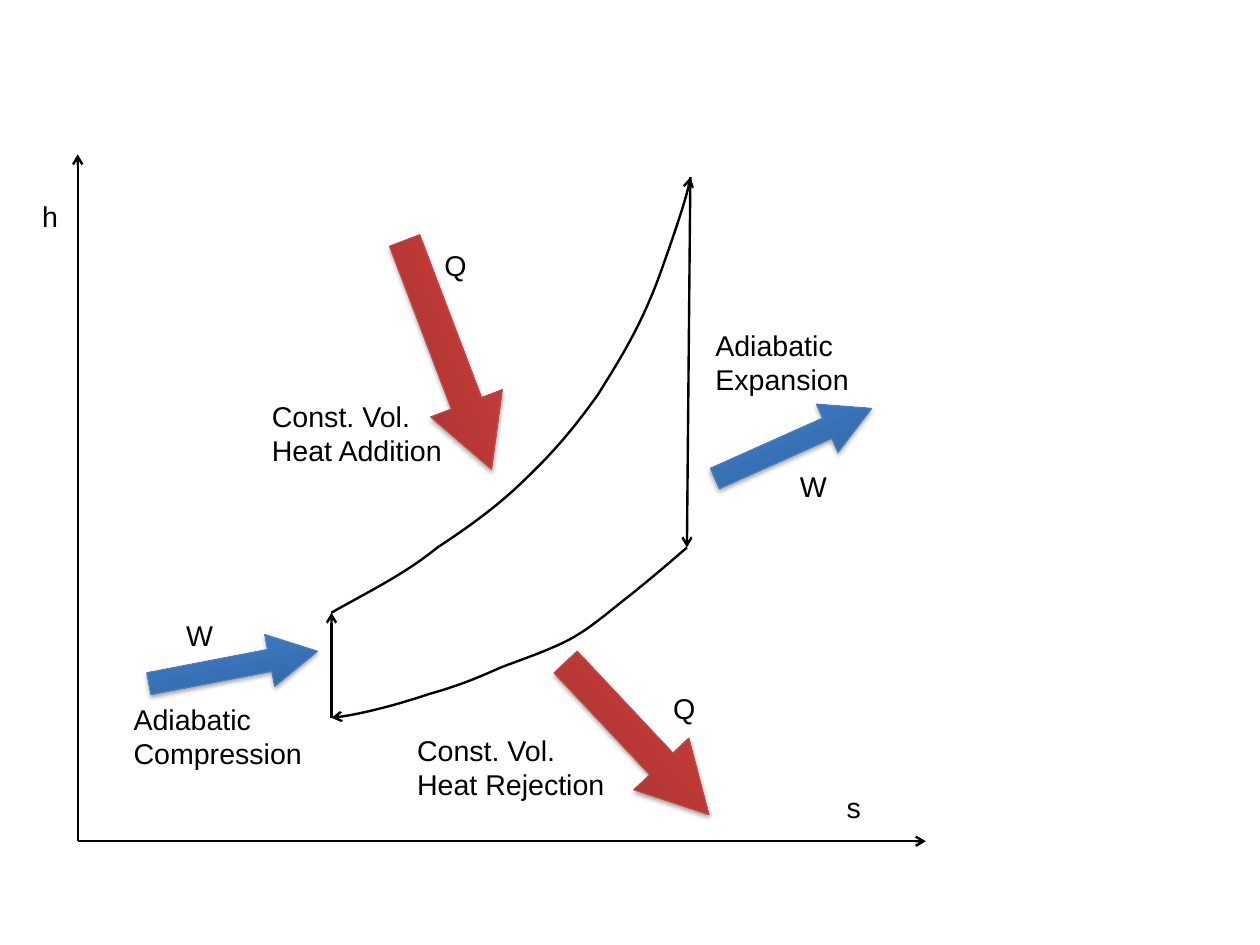
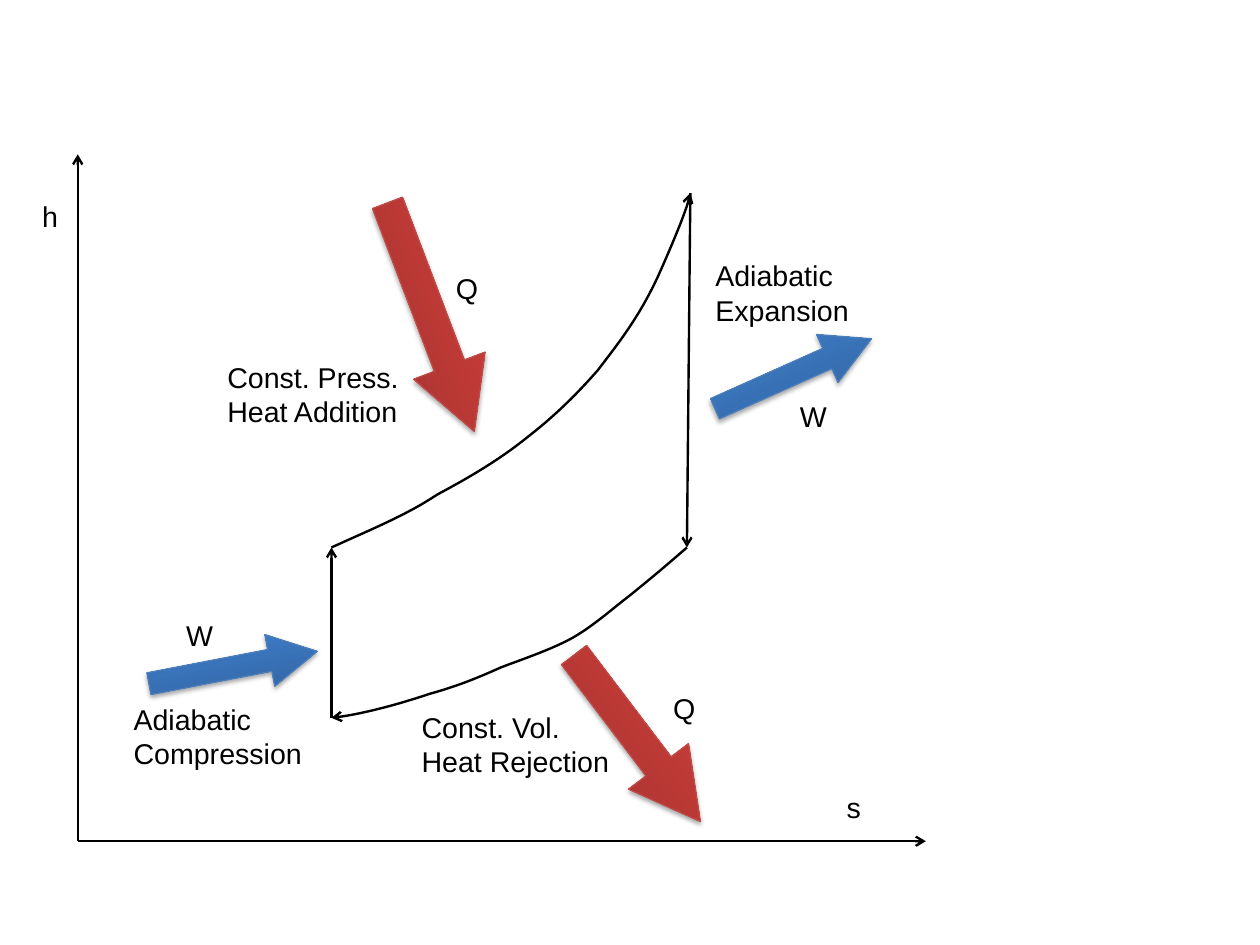
"""Draw the h-s diagrams of two thermodynamic cycles."""
import copy

import pptx
import pptx.dml.color
import pptx.enum.shapes
import pptx.enum.text
import pptx.oxml
import pptx.oxml.ns
import pptx.util
from pptx.util import Inches

CM_PER_INCH = 2.54
FONT = "Arial"
BLACK = "000000"
WORK = (("2F5F99", "3D7CC7", "3A7CCB"), "4B7EBC")
HEAT = (("9C2F2D", "CB3E3A", "CE3B37"), "BF4C48")
LEFT, RIGHT = 2.9, 6.01
PEAK_X = 6.04
BASE, EXHAUST = 6.28, 4.79
ORIGIN = (0.68, 7.36)
ADDITION = [(2.9, 1), (3.24, 0.95), (3.55, 0.91), (3.83, 0.85), (4.12, 0.8),
            (4.38, 0.75), (4.61, 0.69), (4.85, 0.63), (5.04, 0.57), (5.23, 0.5),
            (5.42, 0.42), (5.59, 0.35), (5.75, 0.24), (5.89, 0.14),
            (6.03, 0.03), (PEAK_X, 0)]
REJECTION = [(RIGHT, EXHAUST), (5.78, 4.99), (5.67, 5.08), (5.51, 5.21),
             (5.34, 5.34), (5.2, 5.47), (5.01, 5.58), (4.83, 5.68), (4.59, 5.76),
             (4.38, 5.84), (4.18, 5.93), (4.01, 6), (3.76, 6.07), (3.52, 6.15),
             (3.18, 6.25), (LEFT, BASE)]


def rgb(value):
    """Return the colour for a hex string."""
    return pptx.dml.color.RGBColor.from_string(value)


def element(tag, **attributes):
    """Return a new DrawingML element."""
    el = pptx.oxml.parse_xml(f"<{tag} {pptx.oxml.ns.nsdecls('a')}/>")
    for name, value in attributes.items():
        el.set(name, str(value))
    return el


def child(sp, tag):
    """Return the first element with this tag in the shape's properties."""
    return sp._element.spPr.find(".//" + pptx.oxml.ns.qn(tag))


def style_stroke(sp):
    """Give a line its colour, its width and an arrowhead at its end."""
    sp.line.color.rgb = rgb(BLACK)
    sp.line.width = pptx.util.Pt(1.5)
    child(sp, "a:ln").append(element("a:tailEnd", type="arrow"))


def add_line(shapes, start, end):
    """Add a straight line with an arrowhead at its end."""
    sp = shapes.add_connector(pptx.enum.shapes.MSO_CONNECTOR.STRAIGHT,
                              *map(Inches, start + end))
    style_stroke(sp)
    sp._element.spPr.append(element("a:effectLst"))


def bezier_points(points, steps=12):
    """Return points along a chain of cubic Bezier curves."""
    result = [points[0]]
    for i in range(0, len(points) - 1, 3):
        for step in range(1, steps + 1):
            t = step / steps
            u = 1 - t
            weights = (u ** 3, 3 * u * u * t, 3 * u * t * t, t ** 3)
            result.append(tuple(sum(w * pt[axis] for w, pt in zip(weights, points[i:i + 4]))
                                for axis in (0, 1)))
    return result


def add_curve(shapes, points):
    """Add a smooth open curve with an arrowhead at its end."""
    start, *rest = [(Inches(x), Inches(y)) for x, y in bezier_points(points)]
    builder = shapes.build_freeform(*start)
    builder.add_line_segments(rest, close=False)
    sp = builder.convert_to_shape()
    sp.fill.background()
    sp.shadow.inherit = False
    style_stroke(sp)


def add_label(s, text, x, y, width=0.6, height=0.4):
    """Add a text box with one paragraph for each line of text."""
    tf = s.shapes.add_textbox(*map(Inches, (x, y, width, height))).text_frame
    tf.word_wrap = True
    tf.auto_size = pptx.enum.text.MSO_AUTO_SIZE.SHAPE_TO_FIT_TEXT
    tf.text = text
    for p in tf.paragraphs:
        p.font.name = FONT
        p.font.size = pptx.util.Pt(18)
        p.font.color.rgb = rgb(BLACK)


def add_block_arrow(s, palette, box, rotation):
    """Add a turned block arrow with a gradient and a soft shadow."""
    colours, outline = palette
    sp = s.shapes.add_shape(pptx.enum.shapes.MSO_SHAPE.RIGHT_ARROW, *map(Inches, box))
    sp.rotation = rotation
    sp.adjustments[0], sp.adjustments[1] = 0.42, 0.92
    sp.fill.gradient()
    stops = child(sp, "a:gsLst")
    stops.append(copy.deepcopy(stops[-1]))
    for stop, position, colour in zip(sp.fill.gradient_stops, (0, 0.8, 1), colours):
        stop.position = position
        stop.color.rgb = rgb(colour)
    sp.fill.gradient_angle = 90
    sp.line.color.rgb = rgb(outline)
    sp.line.width = pptx.util.Pt(0.75)
    sp.shadow.inherit = False
    shadow = element("a:outerShdw", blurRad=pptx.util.Pt(3.1), dist=pptx.util.Pt(1.8),
                     dir=5400000, rotWithShape=0)
    colour = element("a:srgbClr", val=BLACK)
    colour.append(element("a:alpha", val=35000))
    shadow.append(colour)
    child(sp, "a:effectLst").append(shadow)


def add_cycle(s, peak, compressed):
    """Add the four strokes of the cycle as one group."""
    shapes = s.shapes.add_group_shape().shapes
    add_curve(shapes, [(x, peak + drop * (compressed - peak)) for x, drop in ADDITION])
    add_curve(shapes, REJECTION)
    add_line(shapes, (LEFT, BASE), (LEFT, compressed))
    add_line(shapes, (PEAK_X, peak), (RIGHT, EXHAUST))


def add_axes(s):
    """Add the two axes and their names."""
    add_line(s.shapes, ORIGIN, (ORIGIN[0], 1.35))
    add_label(s, "h", 0.27, 1.69)
    add_line(s.shapes, ORIGIN, (8.1, ORIGIN[1]))
    add_label(s, "s", 7.31, 6.86)


def add_diagram(prs, peak, compressed, addition, addition_at, heat_in_at, heat_in_q,
                rejection_at, heat_out_turn, expansion_y):
    """Add a slide with one complete cycle."""
    s = prs.slides.add_slide(prs.slide_layouts[6])
    add_cycle(s, peak, compressed)
    add_label(s, "Adiabatic Compression", 1.07, 6.09, 1.72, 0.71)
    add_label(s, f"{addition}\nHeat Addition", *addition_at, 2.11, 0.71)
    add_label(s, "Const. Vol.\nHeat Rejection", *rejection_at, 2.12, 0.71)
    add_label(s, "Adiabatic Expansion", 6.16, expansion_y, 1.72, 0.71)
    add_block_arrow(s, WORK, (1.29, 5.61, 1.5, 0.46), 349.1)
    add_block_arrow(s, WORK, (6.19, expansion_y + 0.83, 1.5, 0.46), 335.9)
    add_label(s, "W", 1.53, 5.36)
    add_label(s, "W", 6.9, expansion_y + 1.23)
    add_block_arrow(s, HEAT, (*heat_in_at, 2.14, 0.67), 69.2)
    add_label(s, "Q", *heat_in_q)
    add_block_arrow(s, HEAT, (4.66, 6.13, 1.83, 0.66), heat_out_turn)
    add_label(s, "Q", 5.79, 6)
    add_axes(s)


def main():
    """Build and save both slides."""
    prs = pptx.Presentation()
    prs.slide_width = Inches(28 / CM_PER_INCH)
    prs.slide_height = Inches(21 / CM_PER_INCH)
    add_diagram(prs, peak=1.55, compressed=5.36, addition="Const. Vol.",
                addition_at=(2.28, 3.44), heat_in_at=(2.85, 2.77), heat_in_q=(3.79, 2.12),
                rejection_at=(3.55, 6.36), heat_out_turn=46.8, expansion_y=2.82)
    add_diagram(prs, peak=1.69, compressed=4.79, addition="Const. Press.",
                addition_at=(1.89, 3.1), heat_in_at=(2.7, 2.44), heat_in_q=(3.89, 2.32),
                rejection_at=(3.59, 6.16), heat_out_turn=52.8, expansion_y=2.21)
    prs.save("out.pptx")


if __name__ == "__main__":
    main()
